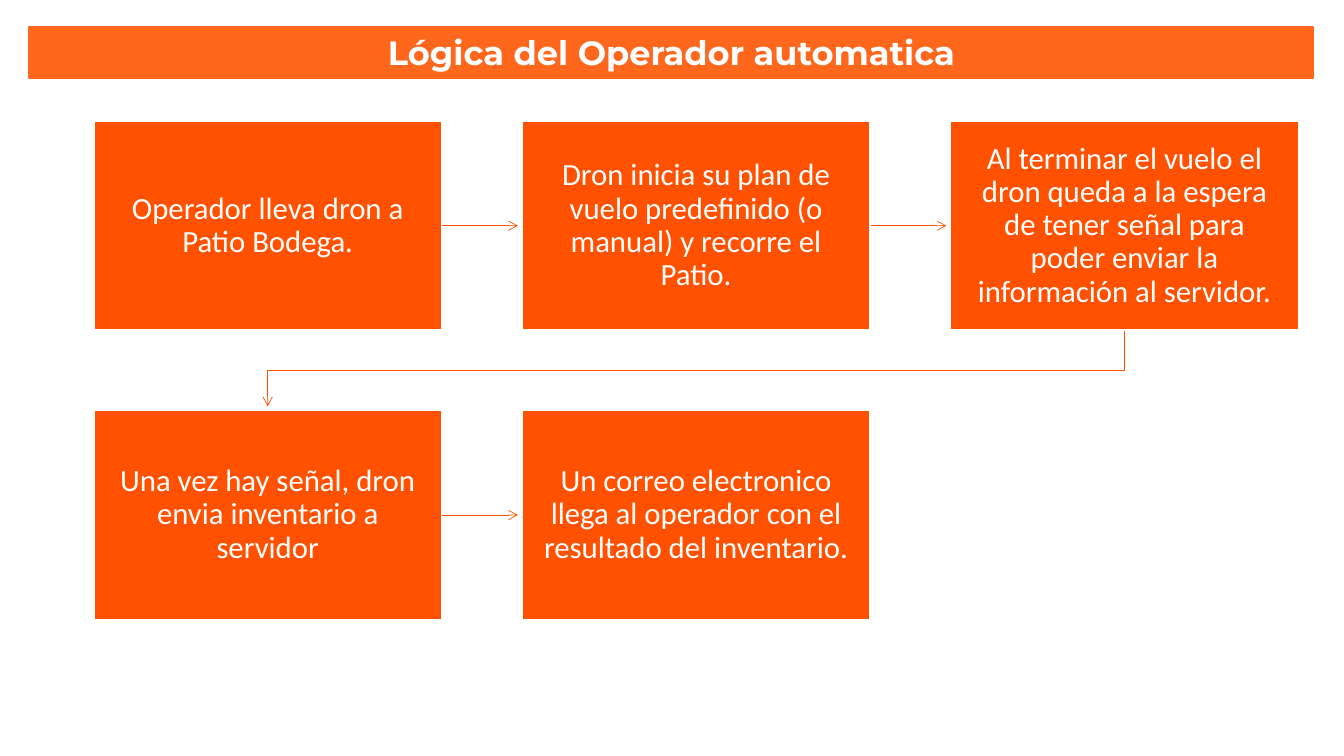
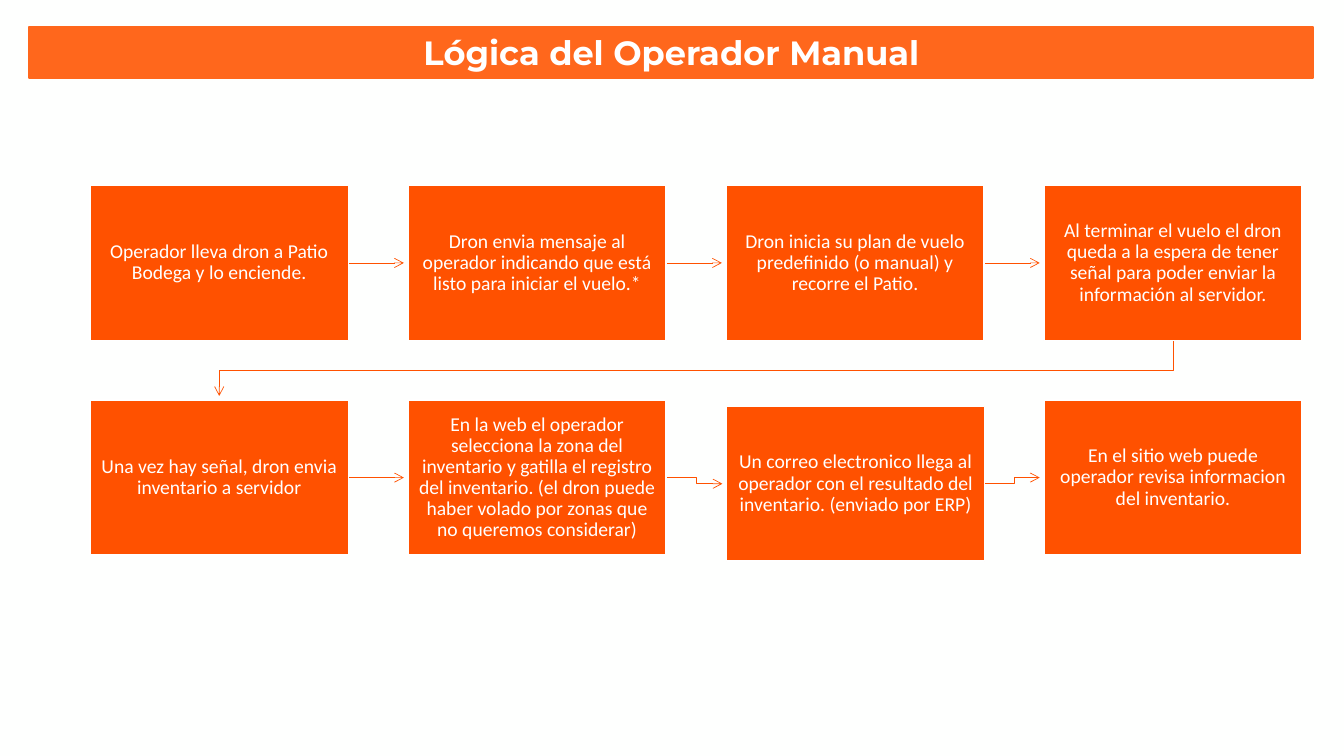
from dataclasses import dataclass

from lxml import etree
from pptx import Presentation
from pptx.dml.color import RGBColor
from pptx.enum.shapes import MSO_CONNECTOR, MSO_SHAPE
from pptx.enum.text import MSO_ANCHOR, MSO_AUTO_SIZE, PP_ALIGN
from pptx.oxml.ns import qn
from pptx.util import Pt

STRAIGHT, ELBOW = MSO_CONNECTOR.STRAIGHT, MSO_CONNECTOR.ELBOW
RECT = MSO_SHAPE.RECTANGLE
MIDDLE = MSO_ANCHOR.MIDDLE
NO_FIT = MSO_AUTO_SIZE.NONE
CENTER = PP_ALIGN.CENTER
TITLE_ONLY = 5


@dataclass(frozen=True)
class Theme:
    background: RGBColor = RGBColor(0xFE, 0xFF, 0xFE)
    band: RGBColor = RGBColor(0xFF, 0x67, 0x1C)
    step: RGBColor = RGBColor(0xFF, 0x51, 0x00)
    white: RGBColor = RGBColor(0xFF, 0xFF, 0xFF)
    title_font: str = "Montserrat"
    body_font: str = "Calibri"
    title_size: int = 24
    band_line: float = 1.5
    step_line: float = 1
    arrow_line: float = 0.5


T = Theme()
SLIDE_SIZE = (960, 540)
TITLE_BOX = (20.9, 19.1, 917.3, 36.4)
STEP_RATIO = 0.6    # step height / width
ARROW_CLEARANCE = 3  # space between arrow tip and next step

# Content: steps run left to right, then on to the next row
SLIDES = [
    {
        "title": "Lógica del Operador automatica",
        "columns": 3, "left": 67, "top": 86.7, "width": 248.4, "gap": 57.6,
        "size": 22, "inset": 12.2, "shifts": {},
        "steps": [
            "Operador lleva dron a Patio Bodega.",
            "Dron inicia su plan de vuelo predefinido (o manual) y recorre el Patio.",
            "Al terminar el vuelo el dron queda a la espera de tener señal para "
            "poder enviar la información al servidor.",
            "Una vez hay señal, dron envia inventario a servidor",
            "Un correo electronico llega al operador con el resultado del inventario.",
        ],
    },
    {
        "title": "Lógica del Operador Manual",
        "columns": 4, "left": 64.4, "top": 132.5, "width": 184.4, "gap": 42.7,
        "size": 14, "inset": 7.8, "shifts": {6: (0.4, 4.4)},
        "steps": [
            "Operador lleva dron a Patio Bodega y lo enciende.",
            "Dron envia mensaje al operador indicando que está listo para iniciar "
            "el vuelo.*",
            "Dron inicia su plan de vuelo predefinido (o manual) y recorre el Patio.",
            "Al terminar el vuelo el dron queda a la espera de tener señal para "
            "poder enviar la información al servidor.",
            "Una vez hay señal, dron envia inventario a servidor",
            "En la web el operador selecciona la zona del inventario y gatilla el "
            "registro del inventario. (el dron puede haber volado por zonas que no "
            "queremos considerar)",
            "Un correo electronico llega al operador con el resultado del "
            "inventario. (enviado por ERP)",
            "En el sitio web puede operador revisa informacion del inventario.",
        ],
    },
]


def set_attrs(obj, **values):
    for name, value in values.items():
        setattr(obj, name, value)


def paint(sp, fill, line, width):
    sp.fill.solid()
    sp.fill.fore_color.rgb = fill
    sp.line.color.rgb = line
    sp.line.width = Pt(width)


def write(sp, text, font, size, bold=False, spacing=1.0, inset=None):
    tf = sp.text_frame
    set_attrs(tf, word_wrap=True, auto_size=NO_FIT, vertical_anchor=MIDDLE)
    if inset is not None:
        for side in ("left", "top", "right", "bottom"):
            setattr(tf, f"margin_{side}", Pt(inset))
    p = tf.paragraphs[0]
    set_attrs(p, alignment=CENTER, line_spacing=spacing, space_before=Pt(0))
    r = p.add_run()
    r.text = text
    set_attrs(r.font, name=font, size=Pt(size), bold=bold)
    r.font.color.rgb = T.white


def add_title(s, text):
    sp = s.shapes.title
    set_attrs(sp, **dict(zip(("left", "top", "width", "height"), map(Pt, TITLE_BOX))))
    paint(sp, T.band, T.band, T.band_line)
    write(sp, text, T.title_font, T.title_size, bold=True)


def add_step(s, box, text, flow):
    sp = s.shapes.add_shape(RECT, *map(Pt, box))
    sp.shadow.inherit = False
    paint(sp, T.step, T.white, T.step_line)
    write(sp, text, T.body_font, flow["size"], spacing=0.9, inset=flow["inset"])


def add_arrow(s, kind, ends, bend=None):
    cn = s.shapes.add_connector(kind, *map(Pt, ends))
    cn.line.color.rgb = T.step
    cn.line.width = Pt(T.arrow_line)
    etree.SubElement(cn.line._get_or_add_ln(), qn("a:tailEnd"), type="arrow")
    sp_pr = cn._element.spPr
    etree.SubElement(sp_pr, qn("a:effectLst"))
    if bend is not None:
        guides = sp_pr.find(qn("a:prstGeom")).find(qn("a:avLst"))
        etree.SubElement(guides, qn("a:gd"), name="adj1",
                         fmla=f"val {round(bend * 100000)}")
    return cn


def link_across(s, start, end, gap):
    """Arrow from the right side of one step to the left side of the next."""
    x1, y1 = start[0] + start[2], start[1] + start[3] / 2
    x2, y2 = end[0] - ARROW_CLEARANCE, end[1] + end[3] / 2
    if y1 == y2:
        add_arrow(s, STRAIGHT, (x1, y1, x2, y2))
    else:
        add_arrow(s, ELBOW, (x1, y1, x2, y2), gap / 2 / (x2 - x1))


def link_down(s, start, end, gap):
    """Elbow arrow from the end of a row to the start of the next one."""
    x1, y1 = start[0] + start[2] / 2, start[1] + start[3]
    x2, y2 = end[0] + end[2] / 2, end[1] - ARROW_CLEARANCE
    cx, cy = (x1 + x2) / 2, (y1 + y2) / 2
    dx, dy = (x1 - x2) / 2, (y2 - y1) / 2
    # Drawn lying down, then turned a quarter so that it leaves downwards
    cn = add_arrow(s, ELBOW, (cx - dy, cy - dx, cx + dy, cy + dx),
                   gap / 2 / (y2 - y1))
    cn.rotation = 90


def step_boxes(flow):
    width, gap = flow["width"], flow["gap"]
    height = width * STEP_RATIO
    boxes = []
    for i in range(len(flow["steps"])):
        row, col = divmod(i, flow["columns"])
        dx, dy = flow["shifts"].get(i, (0, 0))
        boxes.append((flow["left"] + col * (width + gap) + dx,
                      flow["top"] + row * (height + gap) + dy, width, height))
    return boxes


def add_flow(s, flow):
    boxes = step_boxes(flow)
    # Arrows behind the steps
    for i, (start, end) in enumerate(zip(boxes, boxes[1:]), 1):
        link = link_across if i % flow["columns"] else link_down
        link(s, start, end, flow["gap"])
    for box, text in zip(boxes, flow["steps"]):
        add_step(s, box, text, flow)


def main():
    prs = Presentation()
    prs.slide_width, prs.slide_height = map(Pt, SLIDE_SIZE)
    fill = prs.slide_master.background.fill
    fill.solid()
    fill.fore_color.rgb = T.background
    for flow in SLIDES:
        s = prs.slides.add_slide(prs.slide_layouts[TITLE_ONLY])
        add_title(s, flow["title"])
        add_flow(s, flow)
    prs.save("out.pptx")


if __name__ == "__main__":
    main()
